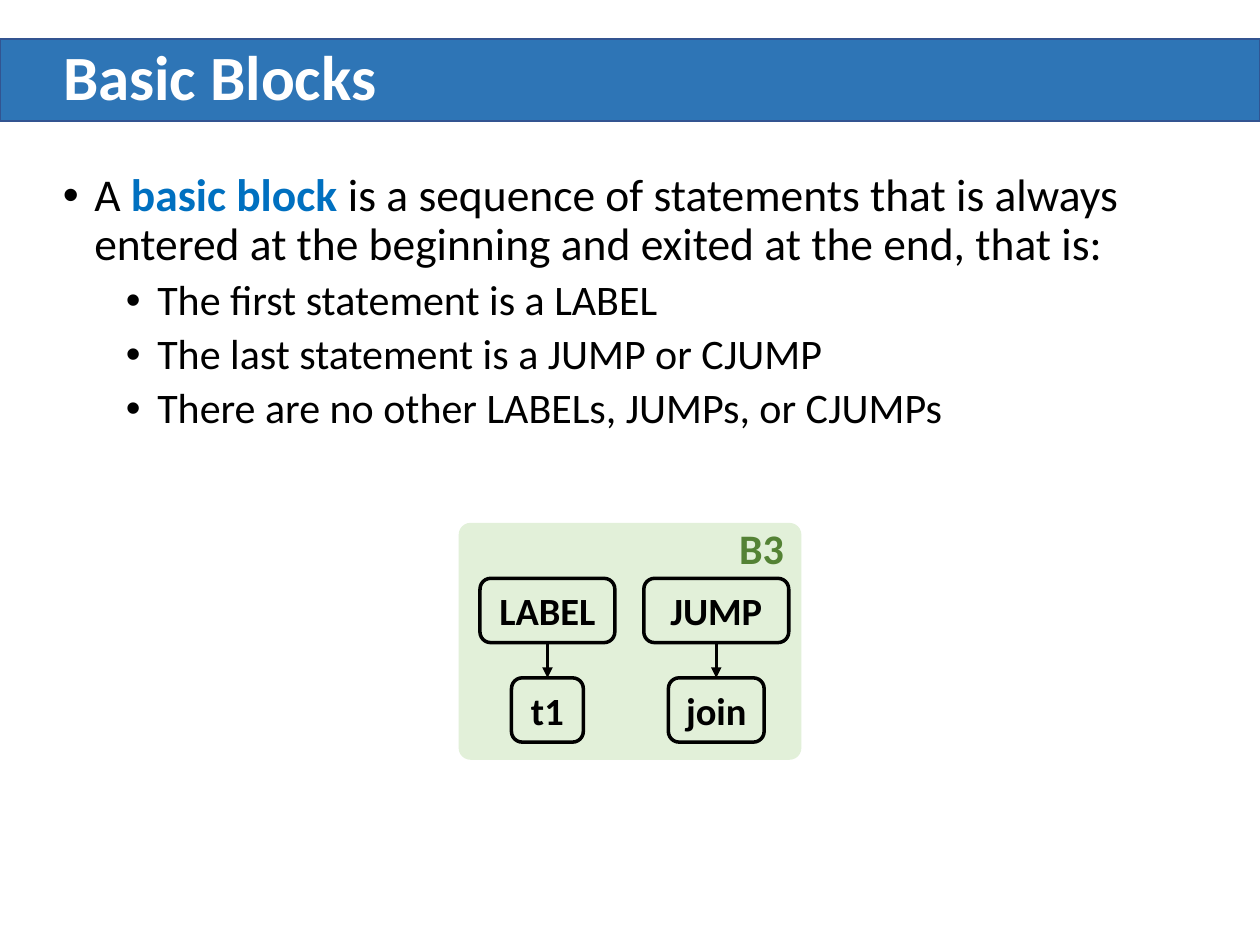
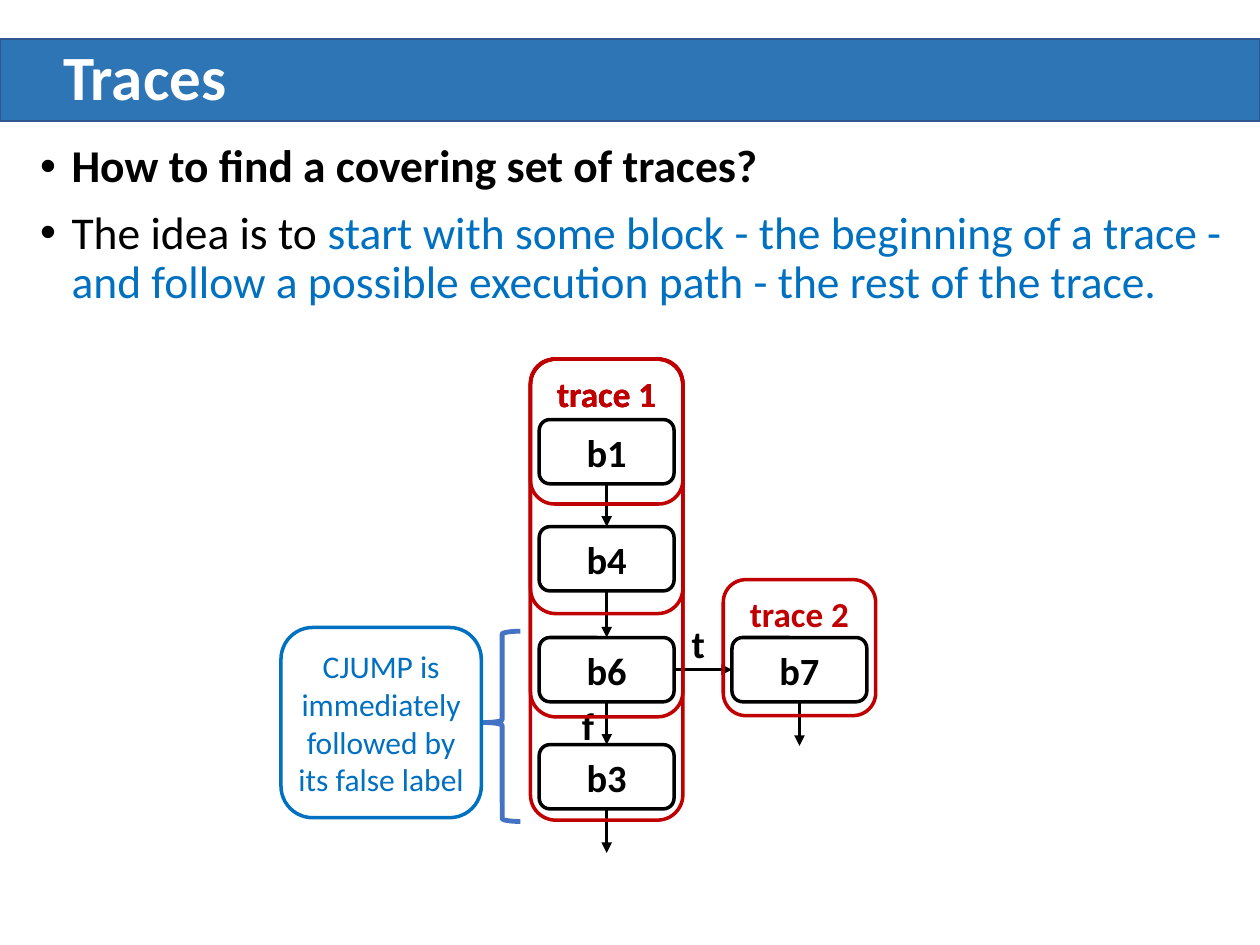
from lxml import etree
from pptx import Presentation
from pptx.dml.color import RGBColor
from pptx.enum.shapes import MSO_CONNECTOR, MSO_SHAPE
from pptx.enum.text import MSO_ANCHOR, MSO_AUTO_SIZE, PP_ALIGN
from pptx.oxml.ns import qn
from pptx.util import Inches, Pt

RECTANGLE = MSO_SHAPE.RECTANGLE
ROUNDED = MSO_SHAPE.ROUNDED_RECTANGLE
BRACE = MSO_SHAPE.LEFT_BRACE
STRAIGHT = MSO_CONNECTOR.STRAIGHT
TOP, MIDDLE = MSO_ANCHOR.TOP, MSO_ANCHOR.MIDDLE
LEFT, CENTER, RIGHT = PP_ALIGN.LEFT, PP_ALIGN.CENTER, PP_ALIGN.RIGHT
SITE_TOP, SITE_LEFT, SITE_BOTTOM, SITE_RIGHT = range(4)

FONT = "Calibri"
BLACK, WHITE = "000000", "FFFFFF"
BAND, BAND_EDGE = "2E75B6", "325491"
BLUE, BRACE_BLUE, RED = "0070C0", "4472C4", "C00000"
PALE_GREEN, GREEN = "E2F0D9", "548235"

COLUMNS, ROWS = 100, 75
TITLE_ONLY = 5
BLOCK_WIDTH, BLOCK_HEIGHT = 10.7, 5.1
# Bullet level: text size, left margin in inches, space before
LEVELS = [(26, 0.25, 10), (24, 0.75, 5)]
HANGING = 0.25


def color(hex_string):
    return RGBColor.from_string(hex_string)


class Deck:
    """Holds the style and the current slide; lengths are grid columns and rows."""

    def __init__(self):
        self.presentation = Presentation()
        self.presentation.slide_width = Inches(10)
        self.presentation.slide_height = Inches(7.5)
        self.column = self.presentation.slide_width / COLUMNS
        self.row = self.presentation.slide_height / ROWS
        self.layout = self.presentation.slide_layouts[TITLE_ONLY]
        self.slide = None

    def place(self, left, top, width, height):
        return (round(left * self.column), round(top * self.row),
                round(width * self.column), round(height * self.row))

    def font(self, paragraph, size, font_color, bold):
        font = paragraph.font
        font.name, font.size, font.bold = FONT, Pt(size), bold
        font.color.rgb = color(font_color)

    def add_slide(self, title):
        first = self.slide is None
        self.slide = self.presentation.slides.add_slide(self.layout)
        if first:
            self.add_band()
        shape = self.slide.shapes.title
        shape.left, shape.top, shape.width, shape.height = self.place(4, 3.1, 92.4, 6.5)
        shape.text_frame.auto_size = MSO_AUTO_SIZE.NONE
        self.set_text(shape, title, 36, WHITE, True, LEFT, MIDDLE)
        shape.text_frame.paragraphs[0].line_spacing = 0.9

    def add_band(self):
        """Draw the title band and move it to the layout that all slides share."""
        band = self.shape(RECTANGLE, (0, 3.1, COLUMNS, 6.5), BAND_EDGE, 1, BAND)
        self.layout.shapes._spTree.insert(2, band._element)

    def set_text(self, shape, text, size, text_color, bold, align=CENTER, anchor=MIDDLE):
        frame = shape.text_frame
        frame.word_wrap = True
        frame.vertical_anchor = anchor
        paragraph = frame.paragraphs[0]
        paragraph.text = text
        paragraph.alignment = align
        self.font(paragraph, size, text_color, bold)

    def shape(self, kind, box, line=None, line_width=2, fill=None):
        shape = self.slide.shapes.add_shape(kind, *self.place(*box))
        shape.shadow.inherit = False
        if fill:
            shape.fill.solid()
            shape.fill.fore_color.rgb = color(fill)
        else:
            shape.fill.background()
        if line:
            shape.line.color.rgb = color(line)
            shape.line.width = Pt(line_width)
        else:
            shape.line.fill.background()
        return shape

    def block(self, text, left, top, width=BLOCK_WIDTH):
        shape = self.shape(ROUNDED, (left, top, width, BLOCK_HEIGHT), BLACK)
        self.set_text(shape, text, 22, BLACK, True)
        return shape

    def trace(self, text, left, top, height):
        shape = self.shape(ROUNDED, (left, top, 12.1, height), RED)
        self.set_text(shape, text, 20, RED, True, anchor=TOP)

    def label(self, text, box, size=22, text_color=BLACK, align=LEFT):
        shape = self.slide.shapes.add_textbox(*self.place(*box))
        self.set_text(shape, text, size, text_color, True, align, TOP)

    def arrow(self, start, end=None, start_site=SITE_BOTTOM, end_site=SITE_TOP):
        """Join two blocks, or drop a short arrow below the first one."""
        x = start.left + start.width // 2
        y = start.top + start.height
        connector = self.slide.shapes.add_connector(
            STRAIGHT, x, y, x, y + round(3.5 * self.row))
        connector.begin_connect(start, start_site)
        if end is not None:
            connector.end_connect(end, end_site)
        connector.line.color.rgb = color(BLACK)
        connector.line.width = Pt(2)
        properties = connector._element.spPr
        etree.SubElement(properties.find(qn("a:ln")), qn("a:tailEnd"), type="triangle")
        etree.SubElement(properties, qn("a:effectLst"))

    def bullets(self, box, items):
        """Each item is a level and its runs of (text, colour, bold)."""
        frame = self.slide.shapes.add_textbox(*self.place(*box)).text_frame
        frame.word_wrap = True
        for index, (level, runs) in enumerate(items):
            paragraph = frame.add_paragraph() if index else frame.paragraphs[0]
            size, margin, space = LEVELS[level]
            paragraph.level = level
            paragraph.line_spacing = 0.9
            paragraph.space_before = Pt(space if index else 0)
            properties = paragraph._p.get_or_add_pPr()
            properties.set("marL", str(Inches(margin)))
            properties.set("indent", str(-Inches(HANGING)))
            etree.SubElement(properties, qn("a:buFont"), typeface="Arial")
            etree.SubElement(properties, qn("a:buChar"), char="•")
            self.font(paragraph, size, *runs[0][1:])
            for text, run_color, bold in runs:
                run = paragraph.add_run()
                run.text = text
                if (run_color, bold) != runs[0][1:]:
                    run.font.color.rgb = color(run_color)
                    run.font.bold = bold


def basic_blocks(deck):
    deck.add_slide("Basic Blocks")
    conditions = ["The first statement is a LABEL",
                  "The last statement is a JUMP or CJUMP",
                  "There are no other LABELs, JUMPs, or CJUMPs"]
    definition = [
        ("A ", BLACK, False),
        ("basic block ", BLUE, True),
        ("is a sequence of statements that is always entered at the beginning "
         "and exited at the end, that is:", BLACK, False)]
    deck.bullets((4, 13.2, 92.4, 56.6),
                 [(0, definition)] + [(1, [(text, BLACK, False)]) for text in conditions])

    panel = deck.shape(ROUNDED, (36.4, 41.5, 27.2, 18.8), fill=PALE_GREEN)
    panel.adjustments[0] = 0.05
    statements = [(43.45, "LABEL", 10.7, "t1", 5.7), (56.85, "JUMP", 11.5, "join", 7.6)]
    for center, operation, operation_width, target, target_width in statements:
        upper = deck.block(operation, center - operation_width / 2, 45.9, operation_width)
        lower = deck.block(target, center - target_width / 2, 53.8, target_width)
        deck.arrow(upper, lower)
    deck.label("B3", (56.1, 41, 7.1, 5), 24, GREEN, RIGHT)


def traces(deck):
    deck.add_slide("Traces")
    deck.bullets((2.2, 10.9, 96.3, 56.6), [
        (0, [("How to find a covering set of traces?", BLACK, True)]),
        (0, [("The idea is to ", BLACK, False),
             ("start with some block - the beginning of a trace - and follow a "
              "possible execution path - the rest of the trace.", BLUE, False)])])

    block_tops = {"b1": 33.3, "b4": 41.8, "b6": 50.6, "b3": 59.1}
    blocks = {name: deck.block(name, 42.8, top) for name, top in block_tops.items()}
    chain = list(blocks.values())
    for start, end in zip(chain, chain[1:] + [None]):
        deck.arrow(start, end)
    branch = deck.block("b7", 58.1, block_tops["b6"])
    deck.arrow(blocks["b6"], branch, SITE_RIGHT, SITE_LEFT)
    deck.arrow(branch)
    deck.label("f", (45.2, 55.2, 3.8, 4.7))
    deck.label("t", (53.9, 48.7, 3.8, 4.7))

    for height in (11.5, 20.2, 28.4, 36.6):
        deck.trace("trace 1", 42.1, 28.5, height)
    deck.trace("trace 2", 57.4, 46, 10.8)

    brace = deck.shape(BRACE, (38.4, 50.1, 2.9, 15.1), BRACE_BLUE, 2.75)
    brace.adjustments[0], brace.adjustments[1] = 0.08, 0.48
    remark = deck.shape(ROUNDED, (22.3, 49.8, 15.9, 15.1), BLUE)
    remark.text_frame.margin_left = remark.text_frame.margin_right = 0
    deck.set_text(remark, "CJUMP is immediately followed by its false label", 18, BLUE, False)


def main():
    deck = Deck()
    basic_blocks(deck)
    traces(deck)
    deck.presentation.save("out.pptx")


if __name__ == "__main__":
    main()
